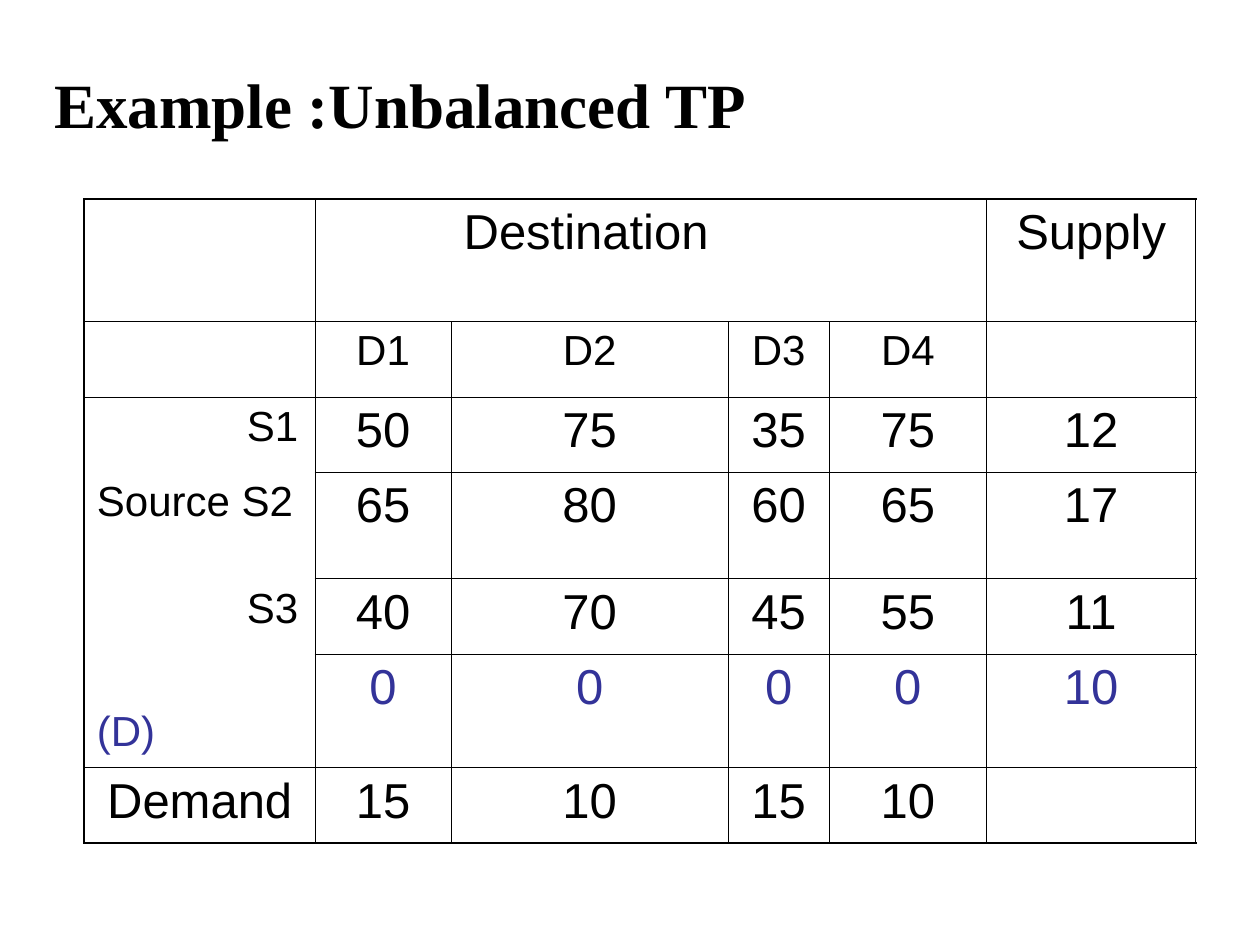
from lxml.etree import SubElement
from pptx import Presentation
from pptx.dml.color import RGBColor
from pptx.enum.text import MSO_ANCHOR, MSO_AUTO_SIZE, PP_ALIGN as Align
from pptx.oxml.ns import qn
from pptx.util import Pt

TITLE = "Example :Unbalanced TP"
ROWS = [
    ["", "", "Destination", "", "", "Supply"],
    ["", "D1", "D2", "D3", "D4", ""],
    ["S1", "50", "75", "35", "75", "12"],
    ["Source S2", "65", "80", "60", "65", "17"],
    ["S3", "40", "70", "45", "55", "11"],
    ["(D)", "0", "0", "0", "0", "10"],
    ["Demand", "15", "10", "15", "10", ""],
]
COLUMN_WIDTHS = [131.8, 77.8, 158.4, 57.6, 90, 119.5]
ROW_HEIGHTS = [70, 43, 43, 61, 43, 65, 43]
TABLE_LEFT, TABLE_TOP = 48.2, 113.8
HEADER_ROW, NAMES_ROW, DUMMY_ROW = 0, 1, 5
SOURCE_ROWS = range(2, 6)
DESTINATION_COLUMNS = range(1, 5)
BLACK, BLUE = "000000", "333399"
THIN, THICK = 0.45, 1.08
INSETS = {"margin_left": 7.2, "margin_right": 7.2, "margin_top": 3.6, "margin_bottom": 3.6}
# Source labels that are not simply left aligned: (alignment, inset changes)
LABEL_PLACES = {
    "S1": (Align.RIGHT, {"margin_right": 9.5}),
    "S3": (Align.RIGHT, {"margin_right": 9.5}),
    "(D)": (Align.LEFT, {"margin_top": 31.2}),
}


def set_all(target, values):
    for name, value in values.items():
        setattr(target, name, value)


def write(frame, text, align, color, **font):
    para = frame.paragraphs[0]
    para.alignment = align
    para.space_before = Pt(0)
    span = para.add_run()
    span.text = text
    set_all(span.font, font)
    span.font.color.rgb = RGBColor.from_string(color)


def border_widths(row, column):
    """Widths for left, right, top and bottom; 0 where adjoining cells run together."""
    last_row, last_column = len(ROWS) - 1, len(COLUMN_WIDTHS) - 1

    def vertical(edge):
        if edge in (0, last_column + 1):
            return THICK
        inside = edge - 1 in DESTINATION_COLUMNS and edge in DESTINATION_COLUMNS
        return 0 if row == HEADER_ROW and inside else THIN

    def horizontal(edge):
        if edge in (0, last_row + 1):
            return THICK
        inside = edge - 1 in SOURCE_ROWS and edge in SOURCE_ROWS
        return 0 if column == 0 and inside else THIN

    return {"L": vertical(column), "R": vertical(column + 1),
            "T": horizontal(row), "B": horizontal(row + 1)}


def draw_borders(cell, widths):
    properties = cell._tc.get_or_add_tcPr()
    for side, width in widths.items():
        line = SubElement(properties, qn(f"a:ln{side}"), w=str(int(Pt(width))))
        if width:
            fill = SubElement(line, qn("a:solidFill"))
            SubElement(fill, qn("a:srgbClr"), val=BLACK)
        else:
            SubElement(line, qn("a:noFill"))


def fill_cell(cell, row, column, text):
    draw_borders(cell, border_widths(row, column))
    cell.fill.background()
    is_source = column == 0 and row in SOURCE_ROWS
    align, changes = Align.CENTER, {}
    if is_source:
        align, changes = LABEL_PLACES.get(text, (Align.LEFT, {}))
    elif row == HEADER_ROW and column in DESTINATION_COLUMNS:
        align = Align.LEFT
    set_all(cell, {name: Pt(size) for name, size in (INSETS | changes).items()})
    cell.vertical_anchor = MSO_ANCHOR.TOP
    if text:
        size = 24 if is_source or row == NAMES_ROW else 28
        color = BLUE if row == DUMMY_ROW else BLACK
        write(cell.text_frame, text, align, color, name="Arial", size=Pt(size))


def add_title(page):
    title = page.shapes.title
    set_all(title, {"left": Pt(23.8), "top": Pt(30.2), "width": Pt(666), "height": Pt(50.4)})
    frame = title.text_frame
    set_all(frame, {"margin_left": Pt(7.2), "margin_right": Pt(7.2), "margin_top": Pt(7),
                    "margin_bottom": 0, "word_wrap": True,
                    "auto_size": MSO_AUTO_SIZE.NONE, "vertical_anchor": MSO_ANCHOR.TOP})
    write(frame, TITLE, Align.LEFT, BLACK, name="Times New Roman", size=Pt(36), bold=True)


def add_transport_table(page):
    table = page.shapes.add_table(
        len(ROWS), len(COLUMN_WIDTHS), Pt(TABLE_LEFT), Pt(TABLE_TOP),
        Pt(sum(COLUMN_WIDTHS)), Pt(sum(ROW_HEIGHTS))).table
    set_all(table, {"first_row": False, "horz_banding": False})
    for column, width in zip(table.columns, COLUMN_WIDTHS):
        column.width = Pt(width)
    for row, height in zip(table.rows, ROW_HEIGHTS):
        row.height = Pt(height)
    for row, texts in enumerate(ROWS):
        for column, text in enumerate(texts):
            fill_cell(table.cell(row, column), row, column, text)


def main():
    deck = Presentation()
    set_all(deck, {"slide_width": Pt(720), "slide_height": Pt(540)})
    page = deck.slides.add_slide(deck.slide_layouts[5])
    add_title(page)
    add_transport_table(page)
    deck.save("out.pptx")


if __name__ == "__main__":
    main()
